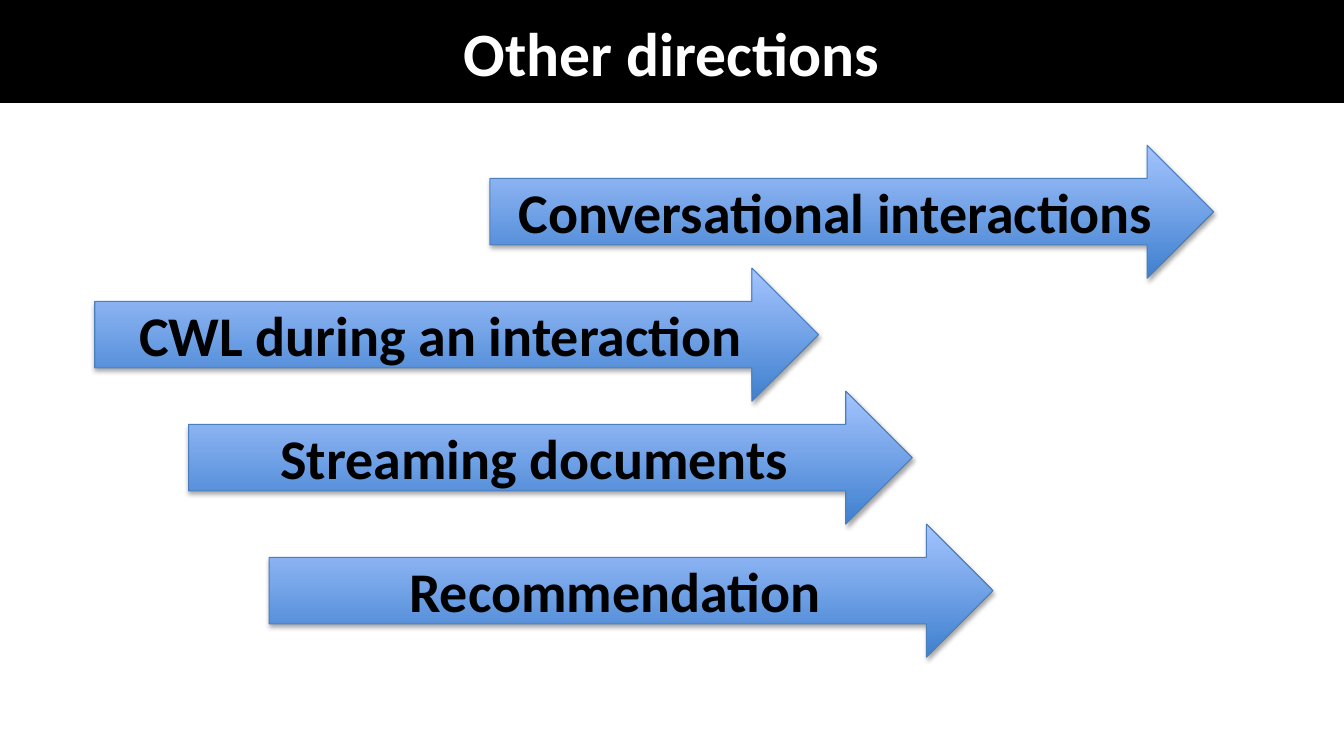
from dataclasses import dataclass

from lxml import etree
from pptx import Presentation
from pptx import util as u
from pptx.dml.color import RGBColor
from pptx.enum import shapes, text
from pptx.oxml import ns

BLACK = RGBColor(0x00, 0x00, 0x00)
WHITE = RGBColor(0xFF, 0xFF, 0xFF)
ARROW_DARK = RGBColor(0x3F, 0x80, 0xCE)
ARROW_LIGHT = RGBColor(0xA4, 0xC4, 0xFF)
ARROW_EDGE = RGBColor(0x4B, 0x7E, 0xBC)

# The slide is a grid of 100 columns by 100 rows
SLIDE_WIDTH, SLIDE_HEIGHT = u.Inches(13.33), u.Inches(7.5)
BANNER_ROWS = 13.6
ARROW_COLS, ARROW_ROWS = 53.85, 17.6
LABEL_COLS, LABEL_ROWS = 51.45, 10.27
LABEL_DROP = (ARROW_ROWS - LABEL_ROWS) / 2


@dataclass(frozen=True)
class Direction:
    label: str
    col: float
    row: float


DIRECTIONS = [
    Direction("Conversational interactions", 36.45, 19.2),
    Direction("CWL during an interaction", 7.05, 35.47),
    Direction("Streaming documents", 14.03, 51.73),
    Direction("Recommendation", 20.03, 69.33),
]


def cells(col: float, row: float, cols: float, rows: float) -> tuple:
    """Turn a grid area into left, top, width and height."""
    across, down = SLIDE_WIDTH / 100, SLIDE_HEIGHT / 100
    return (u.Emu(round(col * across)), u.Emu(round(row * down)),
            u.Emu(round(cols * across)), u.Emu(round(rows * down)))


def write(frame, words: str, size: int, color: RGBColor):
    """Write one bold, centred line and return its run."""
    frame.word_wrap = True
    line = frame.paragraphs[0]
    line.alignment = text.PP_ALIGN.CENTER
    run = line.add_run()
    run.text = words
    run.font.name = "Calibri"
    run.font.size = u.Pt(size)
    run.font.bold = True
    run.font.color.rgb = color
    return run


def add_color(parent, color: RGBColor):
    return etree.SubElement(parent, ns.qn("a:srgbClr"), val=str(color))


def add_soft_shadow(arrow) -> None:
    arrow.shadow.inherit = False
    effects = arrow._element.spPr.find(ns.qn("a:effectLst"))
    shadow = etree.SubElement(
        effects, ns.qn("a:outerShdw"), blurRad=str(u.Pt(3.1)),
        dist=str(u.Pt(1.8)), dir="5400000", rotWithShape="0")
    etree.SubElement(add_color(shadow, BLACK), ns.qn("a:alpha"), val="35000")


def outline_letters(run) -> None:
    edge = etree.Element(ns.qn("a:ln"), w=str(u.Pt(0.75)))
    add_color(etree.SubElement(edge, ns.qn("a:solidFill")), WHITE)
    run.font._element.insert(0, edge)


def draw_banner(slide, title: str) -> None:
    banner = slide.shapes.add_shape(
        shapes.MSO_SHAPE.RECTANGLE, *cells(0, 0, 100, BANNER_ROWS))
    banner.shadow.inherit = False
    banner.fill.solid()
    banner.fill.fore_color.rgb = BLACK
    banner.line.fill.background()
    banner.text_frame.vertical_anchor = text.MSO_ANCHOR.MIDDLE
    write(banner.text_frame, title, 44, WHITE)


def draw_direction(slide, direction: Direction) -> None:
    group = slide.shapes.add_group_shape()

    # Arrow, light at the top and dark at the bottom
    arrow = group.shapes.add_shape(
        shapes.MSO_SHAPE.RIGHT_ARROW,
        *cells(direction.col, direction.row, ARROW_COLS, ARROW_ROWS))
    arrow.fill.gradient()
    arrow.fill.gradient_angle = 90
    for stop, color in zip(arrow.fill.gradient_stops, (ARROW_DARK, ARROW_LIGHT)):
        stop.color.rgb = color
    arrow.line.color.rgb = ARROW_EDGE
    arrow.line.width = u.Pt(0.75)
    add_soft_shadow(arrow)

    # Label over the shaft
    label = group.shapes.add_textbox(
        *cells(direction.col, direction.row + LABEL_DROP, LABEL_COLS, LABEL_ROWS))
    label.text_frame.auto_size = text.MSO_AUTO_SIZE.SHAPE_TO_FIT_TEXT
    outline_letters(write(label.text_frame, direction.label, 40, BLACK))


def main() -> None:
    deck = Presentation()
    deck.slide_width, deck.slide_height = SLIDE_WIDTH, SLIDE_HEIGHT
    slide = deck.slides.add_slide(deck.slide_layouts[6])
    draw_banner(slide, "Other directions")
    for direction in DIRECTIONS:
        draw_direction(slide, direction)
    deck.save("out.pptx")


if __name__ == "__main__":
    main()
